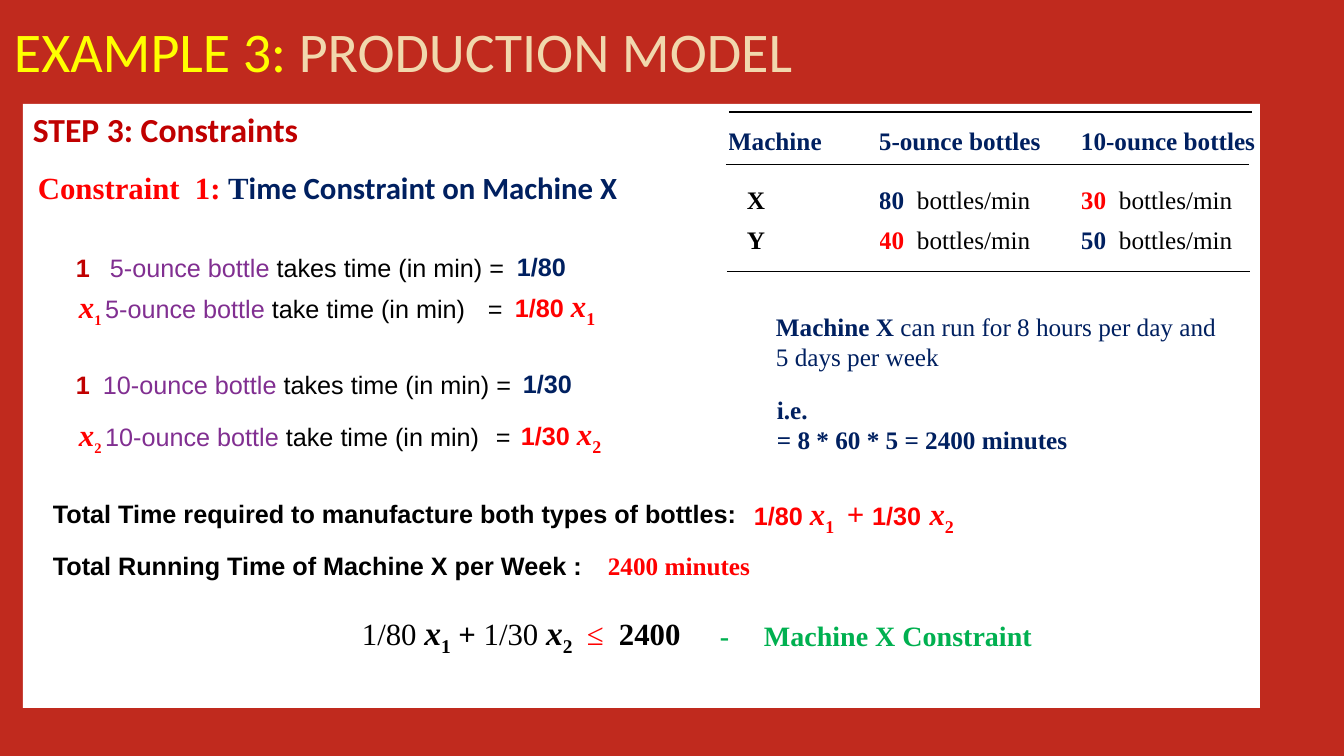
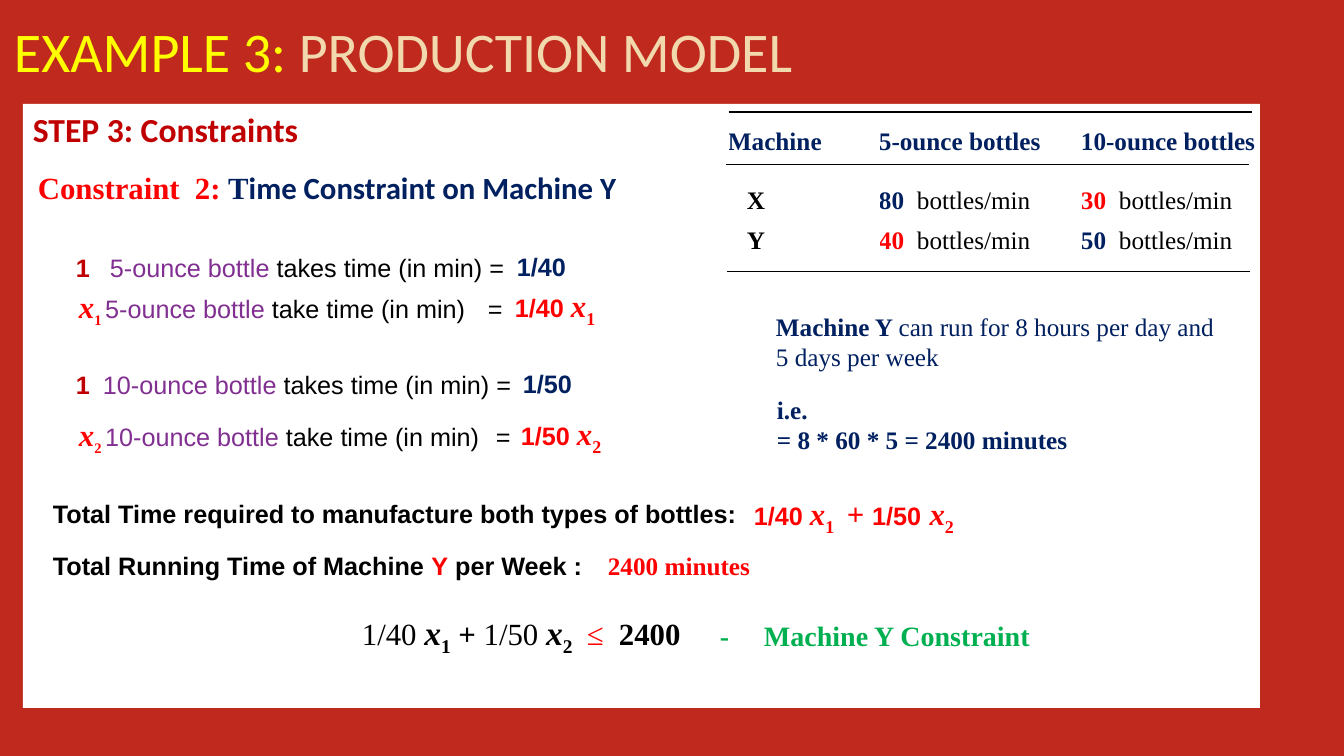
import pptx
import pptx.util
import pptx.dml.color
import pptx.enum.shapes
import pptx.enum.text
import pptx.oxml.ns
import lxml.etree

WIDE, HIGH = 1344, 756
SCALE = 12192000 / WIDE
TIMES, SANS, TITLE = "Times New Roman", "Arial", "Calibri"
BRICK, WHITE, BLACK = "C02A1E", "FFFFFF", "000000"
YELLOW, SAND, GREEN = "FFFF00", "F1D8AD", "00B050"
NAVY, RED, DARK, PLUM = "002060", "FF0000", "C00000", "812F91"


def px(n):
    return pptx.util.Emu(round(n * SCALE))


def hue(code):
    return pptx.dml.color.RGBColor.from_string(code)


def sub(node, tag, **attrs):
    return lxml.etree.SubElement(node, pptx.oxml.ns.qn(tag), **attrs)


def bit(text, size=18, font=TIMES, color=BLACK, bold=True, ital=False, base=0):
    """One piece of text with its format, as a function that adds it."""
    def add(para):
        run = para.add_run()
        run.text = text
        face = run.font
        face.size, face.name = pptx.util.Pt(size), font
        face.bold, face.italic = bold, ital
        face.color.rgb = hue(color)
        if base:
            face._element.set("baseline", str(base * 1000))
    return add


def var(index, size=22, low=22, color=RED):
    """The variable x with its index below the line."""
    return [bit("x", size=size, color=color, ital=True),
            bit(str(index), size=low, color=color, base=-25)]


class Deck:
    def __init__(self):
        self.file = pptx.Presentation()
        self.file.slide_width, self.file.slide_height = px(WIDE), px(HIGH)
        self.page = None

    def start(self):
        self.page = self.file.slides.add_slide(self.file.slide_layouts[6])
        fill = self.page.background.fill
        fill.solid()
        fill.fore_color.rgb = hue(BRICK)

    def put(self, frame, paras, tabs=()):
        for i, bits in enumerate(paras):
            para = frame.add_paragraph() if i else frame.paragraphs[0]
            para.alignment = pptx.enum.text.PP_ALIGN.LEFT
            for add in bits:
                add(para)
            if tabs:
                stops = sub(para._p.get_or_add_pPr(), "a:tabLst")
                for stop in tabs:
                    sub(stops, "a:tab", pos=str(px(stop)), algn="l")

    def text(self, x, y, w, h, *paras, tabs=(), low=False):
        box = self.page.shapes.add_textbox(px(x), px(y), px(w), px(h))
        frame = box.text_frame
        frame.word_wrap = True
        if low:
            frame.vertical_anchor = pptx.enum.text.MSO_ANCHOR.BOTTOM
        self.put(frame, paras, tabs)

    def card(self, x, y, w, h, *paras):
        kind = pptx.enum.shapes.MSO_SHAPE.RECTANGLE
        shape = self.page.shapes.add_shape(kind, px(x), px(y), px(w), px(h))
        shape.shadow.inherit = False
        shape.fill.solid()
        shape.fill.fore_color.rgb = hue(WHITE)
        shape.line.fill.background()
        shape.text_frame.vertical_anchor = pptx.enum.text.MSO_ANCHOR.TOP
        self.put(shape.text_frame, paras)

    def rule(self, x, y, w):
        kind = pptx.enum.shapes.MSO_CONNECTOR.STRAIGHT
        line = self.page.shapes.add_connector(kind, px(x), px(y), px(x + w), px(y))
        line.line.color.rgb = hue(BLACK)
        line.line.width = pptx.util.Pt(0.75)
        sub(line._element.spPr, "a:effectLst")

    def table(self, x, y, cols, rows, tops, cells):
        grid = self.page.shapes.add_table(
            len(rows), len(cols), px(x), px(y), px(sum(cols)), px(sum(rows))).table
        grid.first_row = grid.horz_banding = False
        for c, w in enumerate(cols):
            grid.columns[c].width = px(w)
        for r, h in enumerate(rows):
            grid.rows[r].height = px(h)
            for c, bits in enumerate(cells[r]):
                cell = grid.cell(r, c)
                cell.fill.background()
                cell.margin_left = px(19 if r and not c else 0)
                cell.margin_right = cell.margin_bottom = 0
                cell.margin_top = px(tops[r])
                self.put(cell.text_frame, [bits], [38] if r and c else ())


def rate(count, color):
    return [bit(f"{count}\t", color=color), bit("bottles/min", bold=False)]


def rates(deck):
    """Table of machine speeds with its three rules."""
    heads = ["Machine", "5-ounce bottles", "10-ounce bottles"]
    deck.table(728, 112, [151, 202, 177], [53, 57, 50], [16, 22, 5], [
        [[bit(head, color=NAVY)] for head in heads],
        [[bit("X")], rate(80, NAVY), rate(30, RED)],
        [[bit("Y")], rate(40, RED), rate(50, NAVY)]])
    for x, y in [(729, 112), (726, 165), (727, 272)]:
        deck.rule(x, y, 523)


def times(deck, index, ounce, part, x, one, many, gap, stop):
    """Time for one bottle, then for x bottles, at the tops one and many."""
    kind = bit(f"{ounce}-ounce bottle", font=SANS, color=PLUM, bold=False)
    deck.text(66, one, 465, 40, [
        bit("1\t", font=SANS, color=DARK), kind,
        bit(" takes time (in min) =", font=SANS, bold=False)], tabs=[gap])
    deck.text(x + 2, one - 1, 95, 40, [bit(part, font=SANS, color=NAVY)])
    deck.text(69, many, 466, 47, [
        *var(index, low=18), bit(" ", color=RED, base=-25), kind,
        bit(" take time (in min)\t=", font=SANS, bold=False)], tabs=[stop])
    deck.text(x, many - 1, 120, 47, [
        bit(f"{part} ", font=SANS, color=RED), *var(index)])


def model(deck, number, name, small, large, tint):
    deck.start()

    # Title and white card
    deck.text(4, 6, 1162, 83, [
        bit("EXAMPLE 3: ", size=40, font=TITLE, color=YELLOW, bold=False),
        bit("PRODUCTION MODEL", size=40, font=TITLE, color=SAND, bold=False)], low=True)
    deck.card(23, 104, 1237, 604, [
        bit("STEP 3: Constraints", size=24, font=TITLE, color=DARK)])
    deck.text(28, 164, 688, 47, [
        bit(f"Constraint\t{number}: ", size=22, color=RED),
        bit("T", size=22, color=NAVY),
        bit(f"ime Constraint on Machine {name}", size=22, font=TITLE, color=NAVY)],
        tabs=[157])
    rates(deck)

    # Time per bottle
    times(deck, 1, 5, small, 505, 247, 283, 34, 409)
    times(deck, 2, 10, large, 511, 364, 411, 27, 417)

    # Running time
    deck.text(766, 306, 480, 72, [
        bit(f"Machine {name} ", color=NAVY),
        bit("can run for 8 hours per day and", color=NAVY, bold=False)],
        [bit("5 days per week", color=NAVY, bold=False)])
    deck.text(767, 389, 340, 72, [bit("i.e.", color=NAVY)],
              [bit("= 8 * 60 * 5 = 2400 minutes", color=NAVY)])

    # Totals
    deck.text(43, 493, 720, 40, [
        bit("Total Time required to manufacture both types of bottles:", font=SANS)])
    deck.text(744, 487, 307, 50, [
        bit(f"{small} ", font=SANS, color=RED), *var(1),
        bit("\t+ ", size=22, color=RED), bit(large, font=SANS, color=RED),
        bit(" ", size=24, color=RED), *var(2)], tabs=[93])
    deck.text(43, 545, 564, 40, [
        bit("Total Running Time of Machine ", font=SANS),
        bit(name, font=SANS, color=tint), bit(" per Week :", font=SANS)])
    deck.text(598, 545, 180, 40, [bit("2400 minutes", color=RED)])

    # Resulting constraint
    deck.text(352, 607, 350, 50, [
        bit(f"{small} ", size=22, bold=False), *var(1, 24, 24, BLACK),
        bit(" + ", size=22), bit(f"{large} ", size=22, bold=False),
        *var(2, 24, 24, BLACK), bit("\t≤", size=22, color=RED, bold=False),
        bit("\t2400", size=22)], tabs=[225, 257])
    deck.text(710, 614, 350, 44, [
        bit(f"-\tMachine {name} Constraint", size=20, color=GREEN)], tabs=[44])


def main():
    deck = Deck()
    model(deck, 1, "X", "1/80", "1/30", BLACK)
    model(deck, 2, "Y", "1/40", "1/50", RED)
    deck.file.save("out.pptx")


if __name__ == "__main__":
    main()
